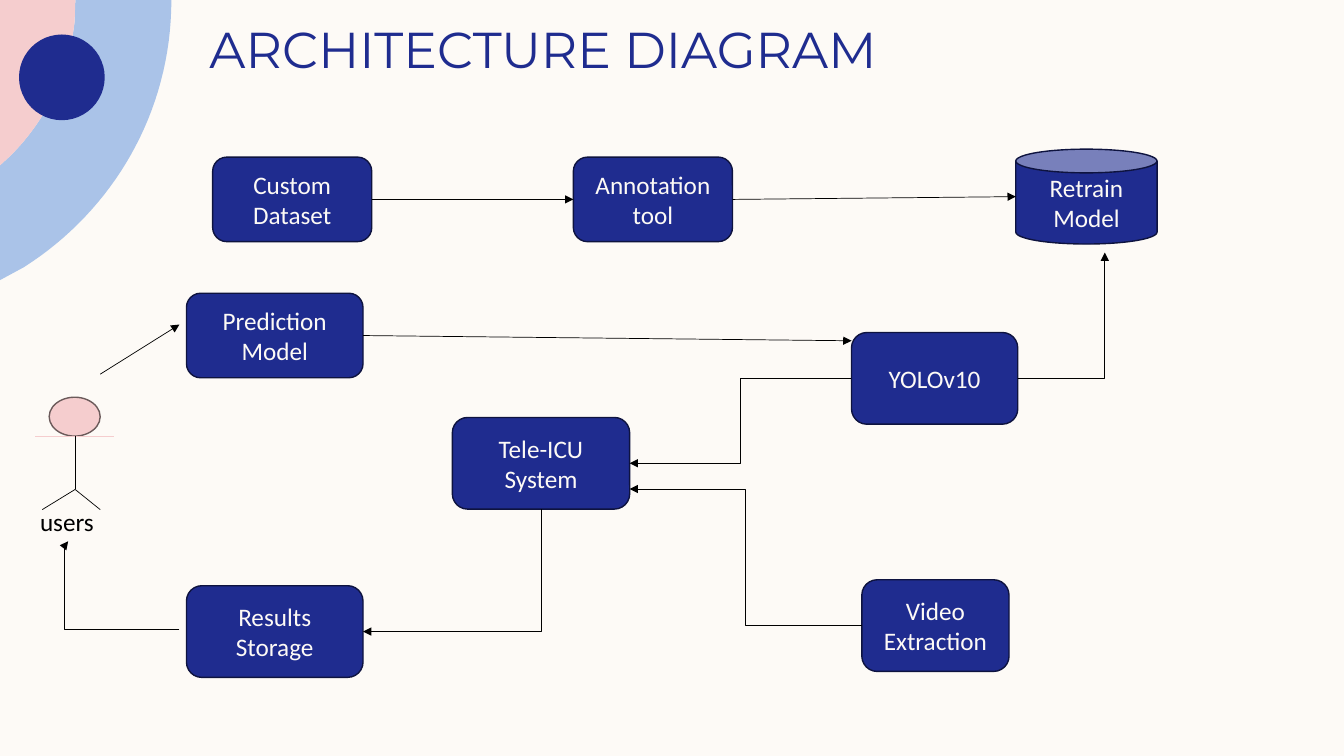
from lxml import etree
from pptx import Presentation
from pptx.dml.color import RGBColor
from pptx.enum.shapes import MSO_CONNECTOR, MSO_SHAPE
from pptx.enum.text import MSO_ANCHOR, PP_ALIGN
from pptx.oxml.ns import qn
from pptx.util import Cm, Pt

ROUND, CAN, OVAL = MSO_SHAPE.ROUNDED_RECTANGLE, MSO_SHAPE.CAN, MSO_SHAPE.OVAL
LINE, ELBOW = MSO_CONNECTOR.STRAIGHT, MSO_CONNECTOR.ELBOW
MIDDLE, CENTER = MSO_ANCHOR.MIDDLE, PP_ALIGN.CENTER

COLORS = {
    "cream": "FDFAF6", "navy": "1F2C8F", "edge": "0E133F", "sky": "AAC3E8",
    "pink": "F5CDCE", "brown": "6B5A5A", "black": "000000",
}

# Boxes are left, top, width, height in cm
USER = (0.76, 10.01, 2.18, 3.63)
NODES = {
    "Custom Dataset": (ROUND, (5.36, 3.96, 4.01, 2.13)),
    "Annotation tool": (ROUND, (14.45, 3.96, 4.01, 2.13)),
    "Retrain Model": (CAN, (25.6, 3.76, 3.56, 2.39)),
    "Prediction Model": (ROUND, (4.7, 7.39, 4.45, 2.13)),
    "YOLOv10": (ROUND, (21.46, 8.38, 4.19, 2.31)),
    "Tele-ICU System": (ROUND, (11.4, 10.52, 4.47, 2.31)),
    "Results Storage": (ROUND, (4.7, 14.76, 4.45, 2.31)),
    "Video Extraction": (ROUND, (21.72, 14.61, 3.71, 2.31)),
}


def color(name):
    return RGBColor.from_string(COLORS[name])


def spot(box, fx, fy):
    """Point at a fraction of the width and height of a box."""
    x, y, w, h = box
    return x + fx * w, y + fy * h


def paint(shape, fill, edge=None):
    shape.shadow.inherit = False
    shape.fill.solid()
    shape.fill.fore_color.rgb = color(fill)
    if edge:
        shape.line.color.rgb = color(edge)
        shape.line.width = Pt(1)
    else:
        shape.line.fill.background()


def write(shape, text, size, font, tint):
    frame = shape.text_frame
    frame.word_wrap = True
    frame.text = text
    style = frame.paragraphs[0].runs[0].font
    style.size, style.name = Pt(size), font
    style.color.rgb = color(tint)
    return frame


def label(slide, box, text, size, font, tint):
    write(slide.shapes.add_textbox(*map(Cm, box)), text, size, font, tint)


def join(slide, start, end, kind=LINE, tint="black", arrow=None, bend=None):
    """Line from start to end; arrow is "tailEnd" (at end) or "headEnd"."""
    link = slide.shapes.add_connector(kind, *map(Cm, start + end))
    link.line.color.rgb = color(tint)
    link.line.width = Pt(0.5)
    props = link._element.spPr
    geom = props.find(qn("a:prstGeom"))
    if bend == "corner":
        geom.set("prst", "bentConnector2")
    elif bend:
        guides = geom.find(qn("a:avLst"))
        etree.SubElement(guides, qn("a:gd"), name="adj1", fmla=f"val {bend}")
    if arrow:
        etree.SubElement(props.find(qn("a:ln")), qn(f"a:{arrow}"), type="triangle")
    etree.SubElement(props, qn("a:effectLst"))


def curve(a, b, c, d, steps=32):
    """Points along a cubic curve."""
    points = []
    for i in range(steps + 1):
        t = i / steps
        u = 1 - t
        points.append(tuple(
            u**3 * p + 3 * u * u * t * q + 3 * u * t * t * r + t**3 * s
            for p, q, r, s in zip(a, b, c, d)))
    return points


def draw_corner(slide, x, y):
    inner = [(1.9, 0), *curve((1.88, 0.56), (1.73, 1.85), (1.17, 3.02), (0.28, 3.91)),
             (0, 4.17)]
    outer = [*curve((4.32, 0), (4.32, 2.84), (2.84, 5.31), (0.61, 6.73)), (0, 7.06)]
    for points, fill in ((outer + inner[::-1], "sky"), (inner + [(0, 0)], "pink")):
        points = [(Cm(x + px), Cm(y + py)) for px, py in points]
        pen = slide.shapes.build_freeform(*points[0])
        pen.add_line_segments(points[1:])
        paint(pen.convert_to_shape(), fill)
    dot = slide.shapes.add_shape(OVAL, Cm(x + 0.48), Cm(y + 0.87), Cm(2.16), Cm(2.16))
    paint(dot, "navy")


def draw_node(slide, box, kind, text):
    node = slide.shapes.add_shape(kind, *map(Cm, box))
    paint(node, "navy", "edge")
    frame = write(node, text, 18, "Calibri", "cream")
    frame.vertical_anchor = MIDDLE
    frame.paragraphs[0].alignment = CENTER


def draw_user(slide, box):
    x, y, w, h = box
    head = slide.shapes.add_shape(
        OVAL, *map(Cm, spot(box, 0.22, 0)), Cm(0.59 * w), Cm(0.27 * h))
    paint(head, "pink", "brown")
    neck, hip = spot(box, 0.52, 0.27), spot(box, 0.52, 0.64)
    join(slide, spot(box, 0.06, 0.27), spot(box, 0.97, 0.27), tint="pink")
    join(slide, neck, hip)
    for side in (0.14, 0.81):
        join(slide, hip, spot(box, side, 0.78))
    label(slide, (x, y + 0.72 * h, w, 0.28 * h), "users", 18, "Calibri", "black")


def draw_links(slide):
    data, tool, train, guess, yolo, tele, store, video = (
        box for _, box in NODES.values())
    # Straight arrows
    for start, end in (
        (spot(data, 1, 0.5), spot(tool, 0, 0.5)),
        (spot(tool, 1, 0.5), spot(train, 0, 0.5)),
        (spot(guess, 1, 0.5), spot(yolo, 0, 0.09)),
        (spot(USER, 0.81, -0.16), spot(guess, -0.04, 0.37)),
    ):
        join(slide, start, end, arrow="tailEnd")
    # Bent arrows
    for start, end, arrow, bend in (
        (spot(yolo, 1, 0.5), spot(train, 0.63, 1.09), "tailEnd", "corner"),
        (spot(store, 1, 0.5), spot(tele, 0.5, 1), "headEnd", "corner"),
        (spot(yolo, 0, 0.5), spot(tele, 1, 0.5), "tailEnd", None),
        (spot(video, 0, 0.5), spot(tele, 1, 0.78), "tailEnd", None),
        (spot(store, -0.04, 0.48), spot(USER, 0.44, 1), "tailEnd", 103300),
    ):
        join(slide, start, end, ELBOW, arrow=arrow, bend=bend)


def main():
    deck = Presentation()
    deck.slide_width, deck.slide_height = Cm(33.87), Cm(19.05)
    slide = deck.slides.add_slide(deck.slide_layouts[6])
    slide.background.fill.solid()
    slide.background.fill.fore_color.rgb = color("cream")
    draw_corner(slide, 0, 0)
    for text, (kind, box) in NODES.items():
        draw_node(slide, box, kind, text)
    draw_user(slide, USER)
    draw_links(slide)
    label(slide, (5.03, 0.33, 23.37, 1.8), "ARCHITECTURE DIAGRAM", 36,
          "Montserrat", "navy")
    deck.save("out.pptx")


if __name__ == "__main__":
    main()
